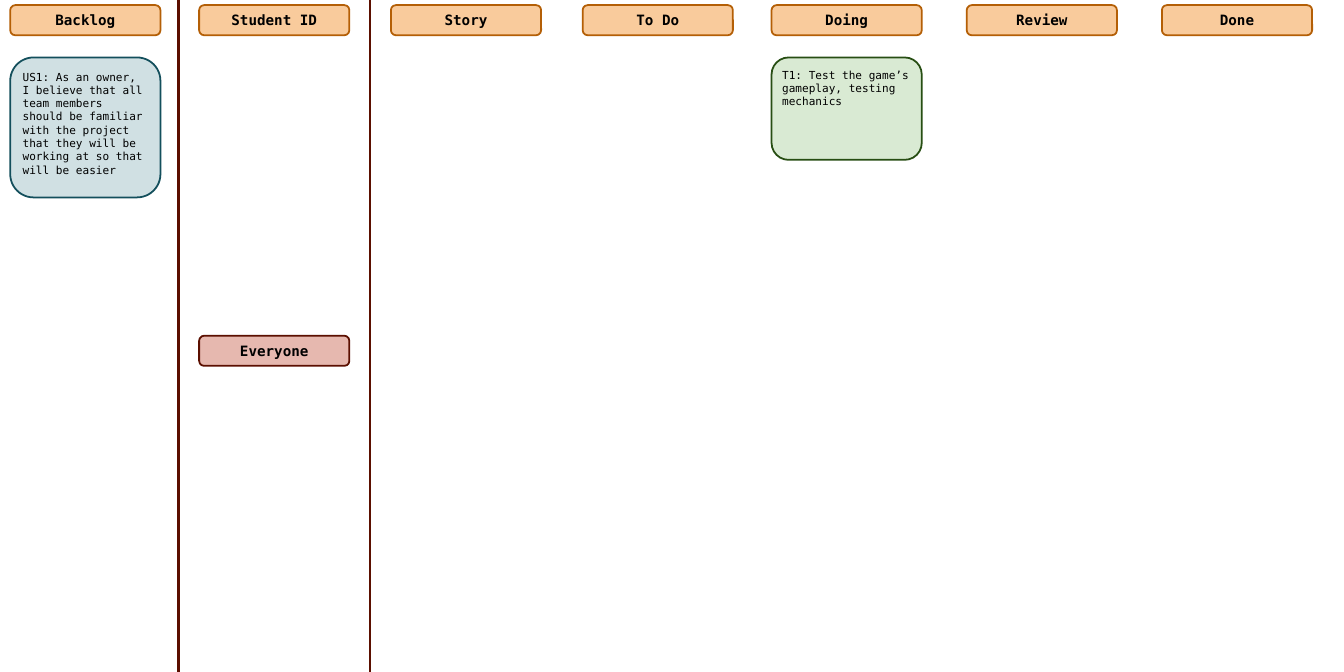
import pptx
import pptx.util
import pptx.dml.color
import pptx.enum.shapes
import pptx.enum.text
import pptx.oxml.ns
import lxml.etree

Inches = pptx.util.Inches
Color = pptx.dml.color.RGBColor.from_string

# Theme: (fill, line) pairs, font and sizes
THEME = {
    "header": ("F9CB9C", "B45F06"),
    "member": ("E6B8AF", "5B0F00"),
    "task": ("D9EAD3", "274E13"),
    "story": ("D0E0E3", "134F5C"),
    "divider": "5B0F00",
    "text": "000000",
    "font": "DejaVu Sans Mono",
    "label_size": 18,
    "note_size": 14,
    "outline": 2.25,
    "divider_width": 3,
}

# Board grid: left edge of each column, top edge of each row
COLUMNS = {"Backlog": 0.18, "Student ID": 3.5, "Story": 6.87, "To Do": 10.24,
           "Doing": 13.56, "Review": 16.99, "Done": 20.42}
CARD_WIDTH, LABEL_HEIGHT = 2.64, 0.53
HEADER_TOP, NOTE_TOP, MEMBER_TOP = 0.09, 1.01, 5.9
DIVIDERS = (3.14, 6.5)

deck = pptx.Presentation()
deck.slide_width, deck.slide_height = Inches(23.62), Inches(11.81)
page = deck.slides.add_slide(deck.slide_layouts[6])


def add_card(text, *, column, top, style, height=LABEL_HEIGHT, label=True):
    """Add a rounded card: a centred bold label, or a note read from the top."""
    fill, line = THEME[style]
    box = page.shapes.add_shape(
        pptx.enum.shapes.MSO_SHAPE.ROUNDED_RECTANGLE,
        Inches(COLUMNS[column]), Inches(top), Inches(CARD_WIDTH), Inches(height))
    box.shadow.inherit = False
    box.fill.solid()
    box.fill.fore_color.rgb = Color(fill)
    box.line.color.rgb = Color(line)
    box.line.width = pptx.util.Pt(THEME["outline"])

    frame = box.text_frame
    frame.word_wrap = True
    frame.margin_left = frame.margin_right = Inches(0.1)
    frame.margin_top = frame.margin_bottom = Inches(0.1)
    anchors, aligns = pptx.enum.text.MSO_ANCHOR, pptx.enum.text.PP_ALIGN
    frame.vertical_anchor = anchors.MIDDLE if label else anchors.TOP
    para = frame.paragraphs[0]
    para.alignment = aligns.CENTER if label else aligns.LEFT
    span = para.add_run()
    span.text = text
    span.font.name = THEME["font"]
    span.font.size = pptx.util.Pt(THEME["label_size" if label else "note_size"])
    span.font.bold = label
    span.font.color.rgb = Color(THEME["text"])


# Column dividers
for x in DIVIDERS:
    divider = page.shapes.add_connector(
        pptx.enum.shapes.MSO_CONNECTOR.STRAIGHT,
        Inches(x), 0, Inches(x), deck.slide_height)
    divider.line.color.rgb = Color(THEME["divider"])
    divider.line.width = pptx.util.Pt(THEME["divider_width"])
    lxml.etree.SubElement(divider._element.spPr, pptx.oxml.ns.qn("a:effectLst"))

# Column headers
for name in COLUMNS:
    add_card(name, column=name, top=HEADER_TOP, style="header")

# Team member
add_card("Everyone", column="Student ID", top=MEMBER_TOP, style="member")

# User story and task
add_card("US1: As an owner, I believe that all team members should be familiar "
         "with the project that they will be working at so that will be easier",
         column="Backlog", top=NOTE_TOP, height=2.46, style="story", label=False)
add_card("T1: Test the game’s gameplay, testing mechanics",
         column="Doing", top=NOTE_TOP, height=1.8, style="task", label=False)

deck.save("out.pptx")
